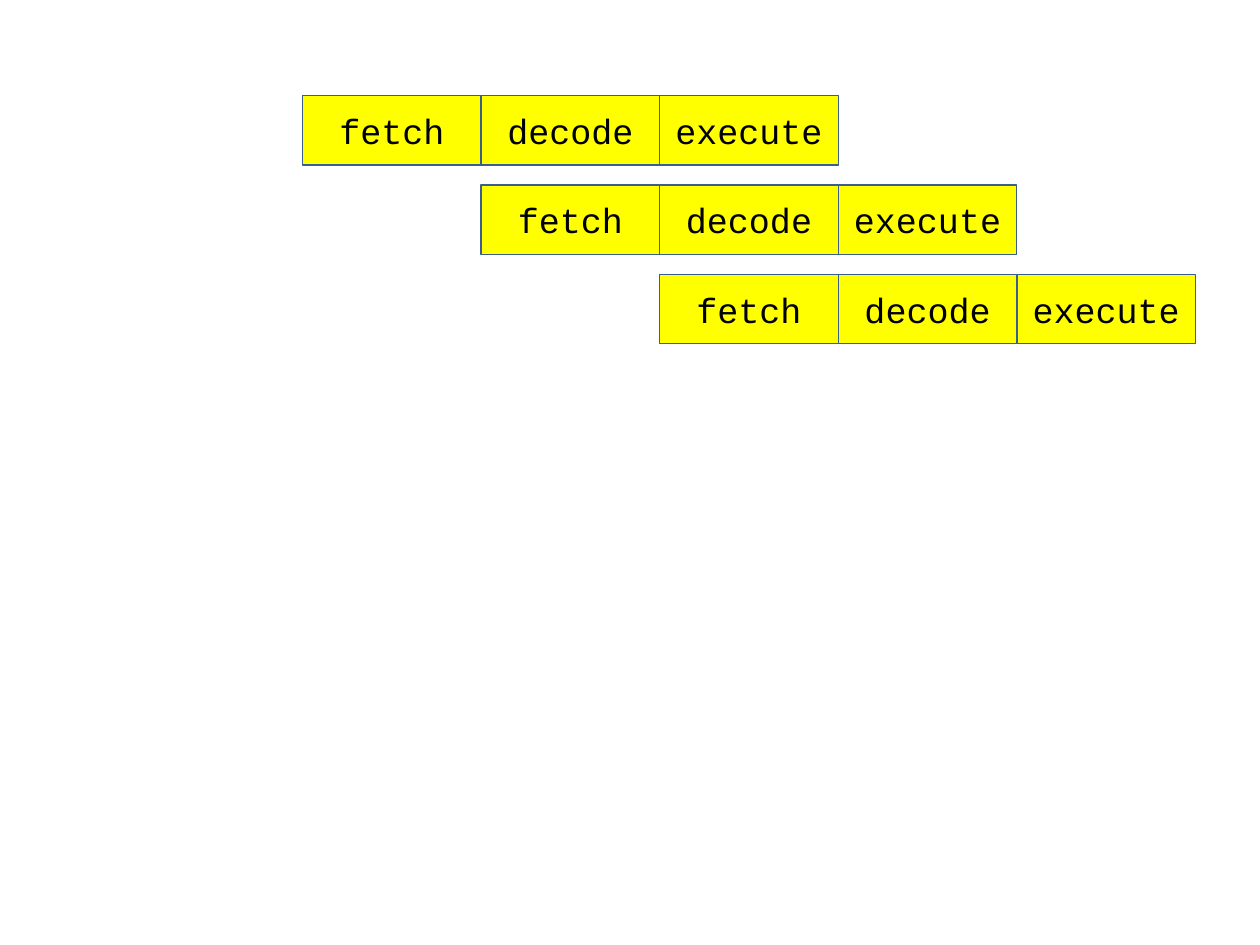
from dataclasses import dataclass

from pptx import Presentation
from pptx.dml.color import RGBColor
from pptx.enum.shapes import MSO_SHAPE as Shape
from pptx.enum.text import MSO_ANCHOR as Anchor, PP_ALIGN as Align
from pptx.util import Cm, Pt

YELLOW = RGBColor(0xFF, 0xFF, 0x00)
BLUE = RGBColor(0x3A, 0x5F, 0x8C)
BLACK = RGBColor(0x00, 0x00, 0x00)

STAGES = ("fetch", "decode", "execute")
ROWS = 3
LEFT, TOP = 6.1, 1.93
WIDTH, HEIGHT = 3.6, 1.4
ROW_STEP = 1.8

FONT = {"name": "Courier New", "size": Pt(20)}


@dataclass(frozen=True)
class Stage:
    label: str
    row: int
    cycle: int


def draw_stage(slide, stage: Stage) -> None:
    box = slide.shapes.add_shape(
        Shape.RECTANGLE,
        Cm(LEFT + stage.cycle * WIDTH),
        Cm(TOP + stage.row * ROW_STEP),
        Cm(WIDTH),
        Cm(HEIGHT),
    )
    box.shadow.inherit = False
    box.fill.solid()
    box.fill.fore_color.rgb = YELLOW
    box.line.color.rgb = BLUE
    box.line.width = Pt(0.75)

    frame = box.text_frame
    frame.vertical_anchor = Anchor.MIDDLE
    para = frame.paragraphs[0]
    para.alignment = Align.CENTER
    run = para.add_run()
    run.text = stage.label
    for key, value in FONT.items():
        setattr(run.font, key, value)
    run.font.color.rgb = BLACK


def main() -> None:
    deck = Presentation()
    deck.slide_width, deck.slide_height = Cm(25.4), Cm(19.05)
    slide = deck.slides.add_slide(deck.slide_layouts[6])
    # Each instruction starts one cycle after the one above it.
    for row in range(ROWS):
        for cycle, label in enumerate(STAGES, start=row):
            draw_stage(slide, Stage(label, row, cycle))
    deck.save("out.pptx")


if __name__ == "__main__":
    main()
